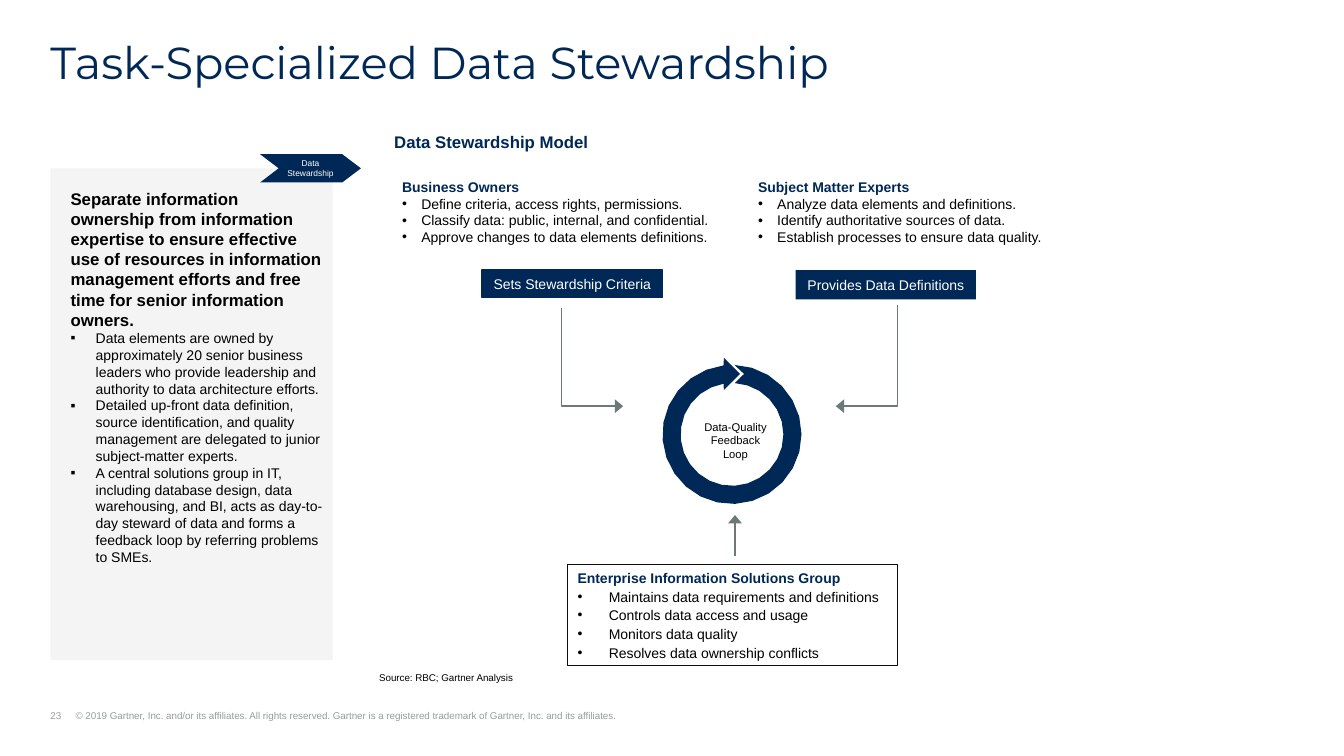
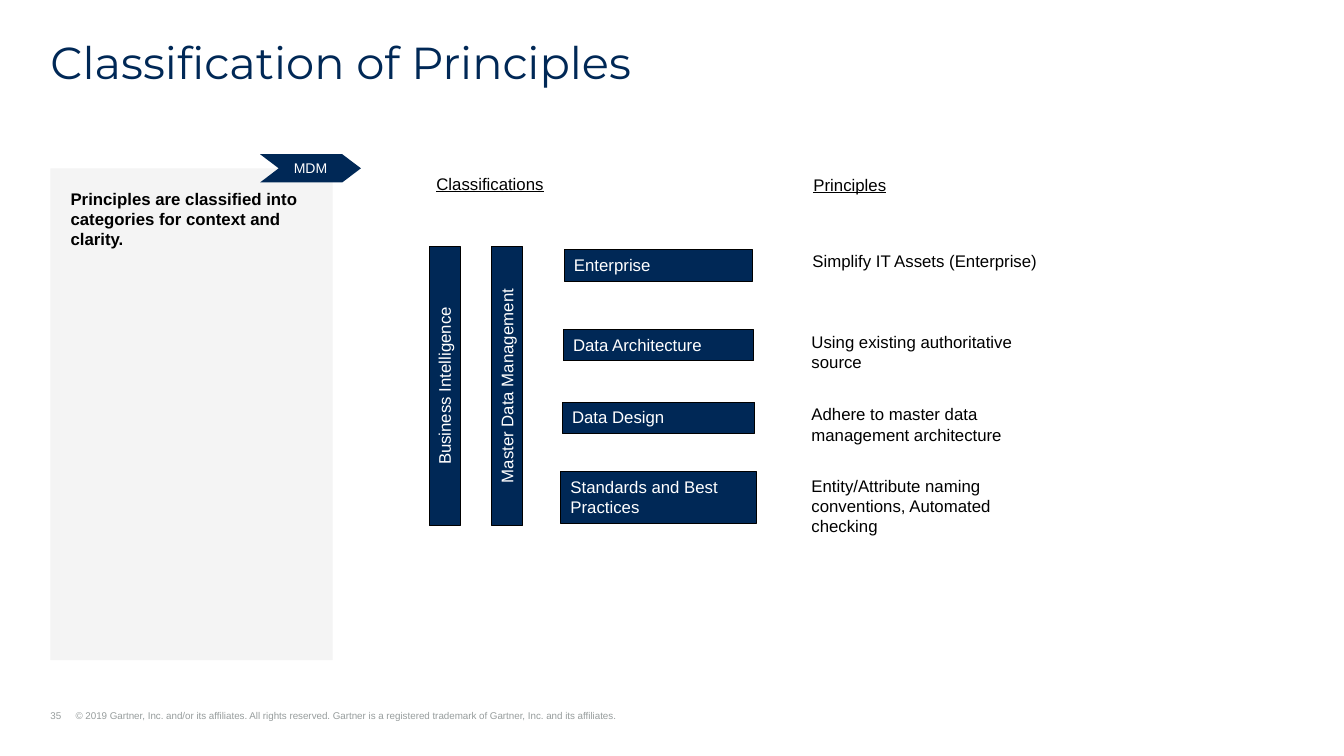
from math import cos, radians, sin

from lxml import etree
from pptx import Presentation
from pptx import util as u
from pptx.dml.color import RGBColor
from pptx.enum import shapes, text
from pptx.oxml.ns import qn

# Shared look
W, H = 13.33, 7.5
COLORS = dict(navy="002856", panel="F4F4F4", grey="979D9D", arrow="6F7878",
              black="000000", white="FFFFFF", frame="0D0D0D")
MARGIN = 0.5
FOOTER = ("© 2019 Gartner, Inc. and/or its affiliates. All rights reserved.\u00a0"
          "Gartner is a registered trademark of Gartner, Inc. and its affiliates.")
CENTER, TOP = text.PP_ALIGN.CENTER, text.MSO_ANCHOR.TOP
MIDDLE, BOTTOM = text.MSO_ANCHOR.MIDDLE, text.MSO_ANCHOR.BOTTOM

# Content: stewardship slide
STEWARDSHIP = dict(
    title="Task-Specialized Data Stewardship", number=23,
    tag=["Data", "Stewardship"], tag_size=6,
    lead="Separate information ownership from information expertise to ensure effective use of "
         "resources in information management efforts and free time for senior information owners.",
    points=[
        "Data elements are owned by approximately 20 senior business leaders who provide "
        "leadership and authority to data architecture efforts.",
        "Detailed up-front data definition, source identification, and quality management are "
        "delegated to junior subject-matter experts.",
        "A central solutions group in IT, including database design, data warehousing, and BI, "
        "acts as day-to-day steward of data and forms a feedback loop by referring problems to SMEs.",
    ])
ROLES = [  # box, heading, duties
    ((3.89, 1.72, 3.37, 0.77), "Business Owners",
     ["Define criteria, access rights, permissions.",
      "Classify data: public, internal, and confidential.",
      "Approve changes to data elements definitions."]),
    ((7.42, 1.72, 3.52, 0.77), "Subject Matter Experts",
     ["Analyze data elements and definitions.",
      "Identify authoritative sources of data.",
      "Establish processes to ensure data quality."]),
]
ACTIONS = [  # box, border, label, path of the arrow below it
    ((4.78, 2.68, 1.79, 0.27), "navy", "Sets Stewardship Criteria",
     [(5.57, 3.06), (5.57, 4.03), (6.18, 4.03)]),
    ((7.89, 2.68, 1.79, 0.29), None, "Provides Data Definitions",
     [(8.9, 3.03), (8.9, 4.03), (8.29, 4.03)]),
]
GROUP = ("Enterprise Information Solutions Group",
         ["Maintains data requirements and definitions", "Controls data access and usage",
          "Monitors data quality", "Resolves data ownership conflicts"])

# Content: principles slide
PRINCIPLES = dict(
    title="Classification of Principles", number=35, tag=["MDM"], tag_size=10,
    lead="Principles are classified into categories for context and clarity.", points=[])
HEADINGS = [("Classifications", 4.23, 1.67), ("Principles", 7.97, 1.68)]
PILLARS = [("Business Intelligence", 4.41), ("Master Data Management", 5.03)]
ROW_CENTER = 6.53
ROWS = [  # classification, top, width, height, then principle, left, top, width
    ("Enterprise", 2.48, 1.87, 0.31, "Simplify IT Assets (Enterprise)", 7.96, 2.44, 2.55),
    ("Data Architecture", 3.27, 1.89, 0.31,
     "Using existing authoritative source", 7.95, 3.24, 2.69),
    ("Data Design", 3.99, 1.91, 0.31,
     "Adhere to master data management architecture", 7.95, 3.96, 2.6),
    ("Standards and Best Practices", 4.68, 1.94, 0.51,
     "Entity/Attribute naming conventions, Automated checking", 7.95, 4.67, 2.63),
]


def rgb(name):
    return RGBColor.from_string(COLORS[name])


def inches(values):
    return [u.Inches(v) for v in values]


def write(sp, paras, size=10, color="black", bold=False, underline=False, font="Arial",
          align=text.PP_ALIGN.LEFT, anchor=TOP, ins=(0.1, 0.05, 0.1, 0.05), wrap=True,
          after=0, line=None, bullet=None, indent=0, tab=None):
    """Fill a shape; a paragraph is a string or (string, format overrides)."""
    base = dict(size=size, color=color, bold=bold, bullet=bullet, indent=indent)
    tf = sp.text_frame
    tf.auto_size = text.MSO_AUTO_SIZE.NONE
    tf.word_wrap = wrap
    tf.vertical_anchor = anchor
    tf.margin_left, tf.margin_top, tf.margin_right, tf.margin_bottom = inches(ins)
    for i, para in enumerate([paras] if isinstance(paras, str) else paras):
        words, extra = (para, {}) if isinstance(para, str) else para
        fmt = {**base, **extra}
        p = tf.paragraphs[0] if i == 0 else tf.add_paragraph()
        pPr = p._p.get_or_add_pPr()
        if fmt["indent"]:
            pPr.set("marL", str(u.Inches(fmt["indent"])))
            pPr.set("indent", str(-u.Inches(fmt["indent"])))
        if fmt["bullet"]:
            etree.SubElement(pPr, qn("a:buFont"), typeface=font)
            etree.SubElement(pPr, qn("a:buChar"), char=fmt["bullet"])
        if tab:
            stops = etree.SubElement(pPr, qn("a:tabLst"))
            etree.SubElement(stops, qn("a:tab"), pos=str(u.Inches(tab)), algn="l")
        p.alignment = align
        p.space_before, p.space_after = u.Pt(0), u.Pt(after)
        if line:
            p.line_spacing = line
        r = p.add_run()
        r.text = words
        r.font.name, r.font.size = font, u.Pt(fmt["size"])
        r.font.bold, r.font.underline = fmt["bold"], underline
        r.font.color.rgb = rgb(fmt["color"])


def label(s, box, paras, **fmt):
    write(s.shapes.add_textbox(*inches(box)), paras, **fmt)


def style(sp, fill=None, line=None, weight=0.75):
    sp.shadow.inherit = False
    if fill:
        sp.fill.solid()
        sp.fill.fore_color.rgb = rgb(fill)
    else:
        sp.fill.background()
    if line:
        sp.line.color.rgb = rgb(line)
        sp.line.width = u.Pt(weight)
    else:
        sp.line.fill.background()
    return sp


def block(s, box, fill=None, line=None, weight=0.75, kind=shapes.MSO_SHAPE.RECTANGLE):
    return style(s.shapes.add_shape(kind, *inches(box)), fill, line, weight)


def outline(s, points, close):
    start, *rest = [tuple(inches(point)) for point in points]
    fb = s.shapes.build_freeform(*start)
    fb.add_line_segments(rest, close=close)
    return fb.convert_to_shape()


def add_arrowhead(sp):
    etree.SubElement(sp.line._get_or_add_ln(), qn("a:tailEnd"),
                     type="triangle", w="lg", len="med")


def bulleted(heading, items, bullet, indent):
    """A bold navy heading above bulleted lines."""
    return [(heading, dict(color="navy", bold=True))] + [
        (item, dict(bullet=bullet, indent=indent)) for item in items]


def add_slide(prs, title, number, tag, tag_size, lead, points):
    """Title, footer, side panel and arrow tag."""
    s = prs.slides.add_slide(prs.slide_layouts[5])
    sp = s.shapes.title
    sp.left, sp.top, sp.width, sp.height = inches((MARGIN, 0.4, W - 2 * MARGIN, 0.48))
    write(sp, title, size=32, color="navy", font="Montserrat", ins=(0, 0, 0, 0),
          line=0.9, after=12)
    label(s, (MARGIN, 7.04, 7.99, 0.12), f"{number}\t{FOOTER}", size=7, color="grey",
          anchor=BOTTOM, ins=(0, 0, 0, 0), indent=0.25, tab=0.25)
    write(block(s, (MARGIN, 1.67, 2.8, 4.88), "panel"),
          [(lead, dict(size=12, bold=True))]
          + [(point, dict(bullet="▪", indent=0.25)) for point in points],
          ins=(0.2, 0.2, 0.1, 0.2))
    sp = block(s, (2.58, 1.53, 1, 0.28), "navy", kind=shapes.MSO_SHAPE.CHEVRON)
    sp.adjustments[0] = 0.66
    write(sp, tag, size=tag_size, color="white", align=CENTER, anchor=MIDDLE, ins=(0, 0, 0, 0))
    return s


def arc(cx, cy, radius, start, end, steps=24):
    """Points on a circle, in degrees clockwise from the top."""
    angles = [radians(start + (end - start) * i / steps) for i in range(steps + 1)]
    return [(cx + radius * sin(a), cy - radius * cos(a)) for a in angles]


def add_loop(s, cx=7.26, cy=4.31, outer=0.69, inner=0.51):
    """Ring that ends in an arrowhead at the top."""
    head = [(7.18, 3.55), (7.34, 3.71), (7.18, 3.87)]
    ring = (arc(cx, cy, outer, 2, 353) + head
            + arc(cx, cy, inner, 350.5, 3) + [(7.38, 3.71)])
    style(outline(s, ring, True), "navy")
    label(s, (6.87, 4.12, 0.85, 0.5), "Data-Quality Feedback Loop", size=8, align=CENTER)


def stewardship_slide(prs):
    s = add_slide(prs, **STEWARDSHIP)
    label(s, (3.91, 1.31, 3.24, 0.4), "Data Stewardship Model", size=12, color="navy",
          bold=True, ins=(0, 0, 0, 0))
    for box, heading, duties in ROLES:
        label(s, box, bulleted(heading, duties, "•", 0.19))
    for box, border, action, route in ACTIONS:
        write(block(s, box, "navy", border, 1), action, color="white", align=CENTER,
              anchor=MIDDLE, ins=(0.05, 0.05, 0.05, 0.05))
        add_arrowhead(style(outline(s, route, False), line="arrow", weight=1))
    add_loop(s)
    # Solutions group feeding the loop
    cx = s.shapes.add_connector(shapes.MSO_CONNECTOR.STRAIGHT, *inches((7.29, 5.52, 7.29, 5.11)))
    cx.line.color.rgb, cx.line.width = rgb("arrow"), u.Pt(1)
    add_arrowhead(cx)
    etree.SubElement(cx._element.spPr, qn("a:effectLst"))
    write(block(s, (5.63, 5.6, 3.27, 1), line="frame"), bulleted(*GROUP, "•", 0.31), after=1.3)
    label(s, (3.76, 6.66, 1.92, 0.12), "Source: RBC; Gartner Analysis", size=7,
          ins=(0, 0, 0, 0), wrap=False)


def principles_slide(prs):
    s = add_slide(prs, **PRINCIPLES)
    for heading, left, top in HEADINGS:
        label(s, (left, top, 1.6, 0.3), heading, size=12, underline=True)
    # Vertical bars, turned about their centres
    length, thick, middle = 2.77, 0.31, 3.83
    for name, center in PILLARS:
        sp = block(s, (center - length / 2, middle - thick / 2, length, thick), "navy", "black")
        sp.rotation = 270
        write(sp, name, size=12, color="white", align=CENTER)
    # One classification and its principle per row
    for name, top, width, height, principle, text_left, text_top, text_width in ROWS:
        write(block(s, (ROW_CENTER - width / 2, top, width, height), "navy", "black"),
              name, size=12, color="white")
        label(s, (text_left, text_top, text_width, 0.5), principle, size=12)


def main():
    prs = Presentation()
    prs.slide_width, prs.slide_height = inches((W, H))
    stewardship_slide(prs)
    principles_slide(prs)
    prs.save("out.pptx")


if __name__ == "__main__":
    main()
